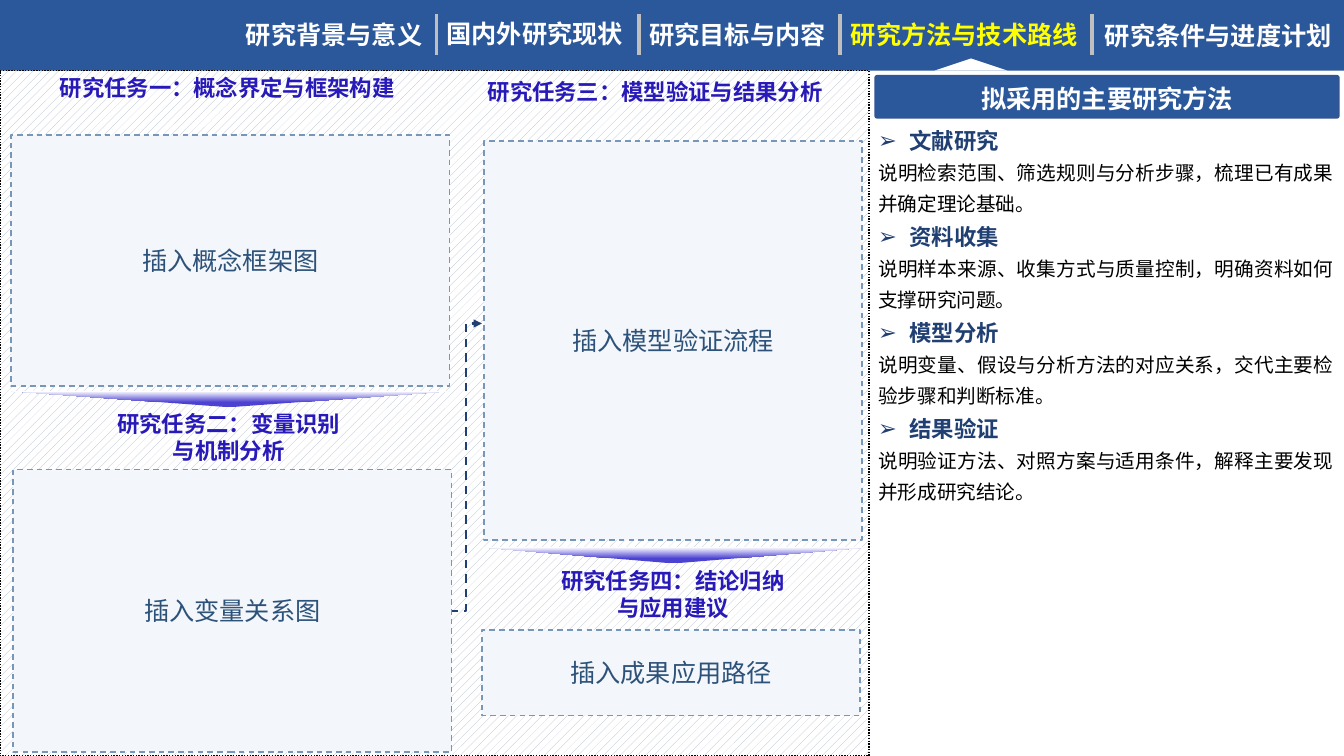
from lxml import etree
from pptx import Presentation
from pptx.dml.color import RGBColor
from pptx.enum.dml import MSO_LINE, MSO_PATTERN
from pptx.enum.shapes import MSO_CONNECTOR as CONN, MSO_SHAPE as SHAPE
from pptx.enum.text import MSO_ANCHOR as ANCHOR, MSO_AUTO_SIZE as AUTO, PP_ALIGN as ALIGN
from pptx.oxml import parse_xml
from pptx.oxml.ns import nsdecls, qn
from pptx.util import Inches, Pt

CJK = "Noto Sans CJK SC"
rgb = RGBColor.from_string


def write(tf, lines, size, color, bold=True, align=ALIGN.CENTER, name=CJK, anchor=ANCHOR.TOP):
    for key, value in {"word_wrap": True, "auto_size": AUTO.NONE, "vertical_anchor": anchor}.items():
        setattr(tf, key, value)
    for i, line in enumerate(lines):
        p = tf.paragraphs[0] if i == 0 else tf.add_paragraph()
        p.alignment = align
        r = p.add_run()
        r.text = line
        for key, value in {"size": Pt(size), "bold": bold, "name": name}.items():
            setattr(r.font, key, value)
        r.font.color.rgb = rgb(color)
        etree.SubElement(r.font._element, qn("a:ea"), typeface=CJK)


def add_box(kind, place, fill=None, line=None, width=1, dash=None):
    sp = s.shapes.add_shape(kind, *map(Inches, place))
    sp.shadow.inherit = False
    if fill:
        sp.fill.solid()
        sp.fill.fore_color.rgb = rgb(fill)
    if line:
        sp.line.color.rgb = rgb(line)
        sp.line.width = Pt(width)
        sp.line.dash_style = dash
    else:
        sp.line.fill.background()
    return sp


prs = Presentation()
prs.slide_width, prs.slide_height = Inches(13.33), Inches(7.5)
s = prs.slides.add_slide(prs.slide_layouts[1])
title, body = s.placeholders

add_box(SHAPE.RECTANGLE, (0, -0.01, 13.33, 0.71), "2B579B")

connectors = []
for x in (4.33, 6.34, 8.33, 10.83):
    c = s.shapes.add_connector(CONN.STRAIGHT, Inches(x), Inches(0.14), Inches(x), Inches(0.55))
    c.line.color.rgb = rgb("BFBFBF")
    c.line.width = Pt(2.5)
    connectors.append(c)

tabs = [
    ("研究背景与意义", 2.34, 0.14, 1.99, "FFFFFF"),
    ("国内外研究现状", 4.33, 0.13, 1.99, "FFFFFF"),
    ("研究目标与内容", 6.34, 0.14, 1.99, "FFFFFF"),
    ("研究方法与技术路线", 8.34, 0.14, 2.48, "FFFF00"),
    ("研究条件与进度计划", 10.86, 0.15, 2.48, "FFFFFF"),
]
for text, x, y, w, color in tabs:
    tb = s.shapes.add_textbox(Inches(x), Inches(y), Inches(w), Inches(0.41))
    write(tb.text_frame, [text], 18, color, align=ALIGN.LEFT)

add_box(SHAPE.ISOSCELES_TRIANGLE, (9.27, 0.58, 0.72, 0.12), "FFFFFF")

panel = add_box(SHAPE.ROUNDED_RECTANGLE, (0, 0.7, 8.62, 6.8), None, "000000", 1, MSO_LINE.ROUND_DOT)
panel.adjustments[0] = 0
panel.fill.patterned()
panel.fill.pattern = MSO_PATTERN.PERCENT_20
panel.fill.fore_color.rgb = rgb("ADB9CA")
panel.fill.back_color.rgb = rgb("FFFFFF")

tasks = [
    (["研究任务一：概念界定与框架构建"], 0.05, 0.69, 4.41),
    (["研究任务二：变量识别", "与机制分析"], 0.07, 4.02, 4.4),
    (["研究任务三：模型验证与结果分析"], 4.47, 0.73, 4.06),
    (["研究任务四：结论归纳", "与应用建议"], 4.8, 5.58, 3.75),
]
for lines, x, y, w in tasks:
    tb = s.shapes.add_textbox(Inches(x), Inches(y), Inches(w), Inches(0.64))
    write(tb.text_frame, lines, 16, "2819B9")

stops = "".join(
    f'<a:gs pos="{pos}000"><a:srgbClr val="{color}"/></a:gs>'
    for pos, color in ((0, "4C42D2"), (31, "4C42D2"), (100, "FFFFFF"))
)
for place in ((0.11, 3.88, 4.36, 0.16), (4.78, 5.43, 3.83, 0.16)):
    sp = add_box(SHAPE.ISOSCELES_TRIANGLE, place)
    sp.rotation = 180
    sp.adjustments[0] = 0.504
    sp._element.spPr.find(qn("a:prstGeom")).addnext(parse_xml(
        f'<a:gradFill {nsdecls("a")} rotWithShape="1"><a:gsLst>{stops}</a:gsLst>'
        '<a:lin ang="5400000" scaled="0"/></a:gradFill>'))

flow = s.shapes.add_connector(CONN.ELBOW, Inches(4.46), Inches(6.06), Inches(4.78), Inches(3.21))
flow.line.color.rgb = rgb("203F72")
flow.line.width = Pt(1.5)
flow.line.dash_style = MSO_LINE.DASH
etree.SubElement(flow.line._get_or_add_ln(), qn("a:tailEnd"), type="triangle")
for c in connectors + [flow]:
    etree.SubElement(c._element.spPr, qn("a:effectLst"))

figures = [
    ("插入概念框架图", (0.11, 1.34, 4.35, 2.49)),
    ("插入变量关系图", (0.13, 4.66, 4.35, 2.8)),
    ("插入模型验证流程", (4.8, 1.4, 3.75, 3.96)),
    ("插入成果应用路径", (4.78, 6.25, 3.75, 0.85)),
]
for text, place in figures:
    sp = add_box(SHAPE.RECTANGLE, place, "F3F6FA", "7896B7", 1, MSO_LINE.DASH)
    write(sp.text_frame, [text], 18, "2D527A", False, name="Arial", anchor=ANCHOR.MIDDLE)

banner = add_box(SHAPE.ROUNDED_RECTANGLE, (8.68, 0.75, 4.6, 0.42), "2B579B", "325491")
banner.adjustments[0] = 0.047

for sp, place in ((title, (8.68, 0.78, 4.6, 0.4)), (body, (8.61, 1.13, 4.72, 6.37))):
    for key, value in zip(("left", "top", "width", "height"), place):
        setattr(sp, key, Inches(value))
    s.shapes._spTree.append(sp._element)
write(title.text_frame, ["拟采用的主要研究方法"], 18, "FFFFFF")

methods = [
    ("文献研究", "说明检索范围、筛选规则与分析步骤，梳理已有成果并确定理论基础。"),
    ("资料收集", "说明样本来源、收集方式与质量控制，明确资料如何支撑研究问题。"),
    ("模型分析", "说明变量、假设与分析方法的对应关系，交代主要检验步骤和判断标准。"),
    ("结果验证", "说明验证方法、对照方案与适用条件，解释主要发现并形成研究结论。"),
]
tf = body.text_frame
write(tf, [text for method in methods for text in method], 14, "000000", False, ALIGN.JUSTIFY)
for i, p in enumerate(tf.paragraphs):
    p.line_spacing = 1.3
    p.space_before = Pt(0)
    pPr = p._p.get_or_add_pPr()
    heading = i % 2 == 0
    indent = Inches(0.31) if heading else 0
    pPr.set("marL", str(indent))
    pPr.set("indent", str(-indent))
    if heading:
        etree.SubElement(pPr, qn("a:buFont"), typeface="Arial")
        etree.SubElement(pPr, qn("a:buChar"), char="➢")
        font = p.runs[0].font
        font.size, font.bold = Pt(16), True
        font.color.rgb = rgb("203F72")
    else:
        etree.SubElement(pPr, qn("a:buNone"))

prs.save("out.pptx")
